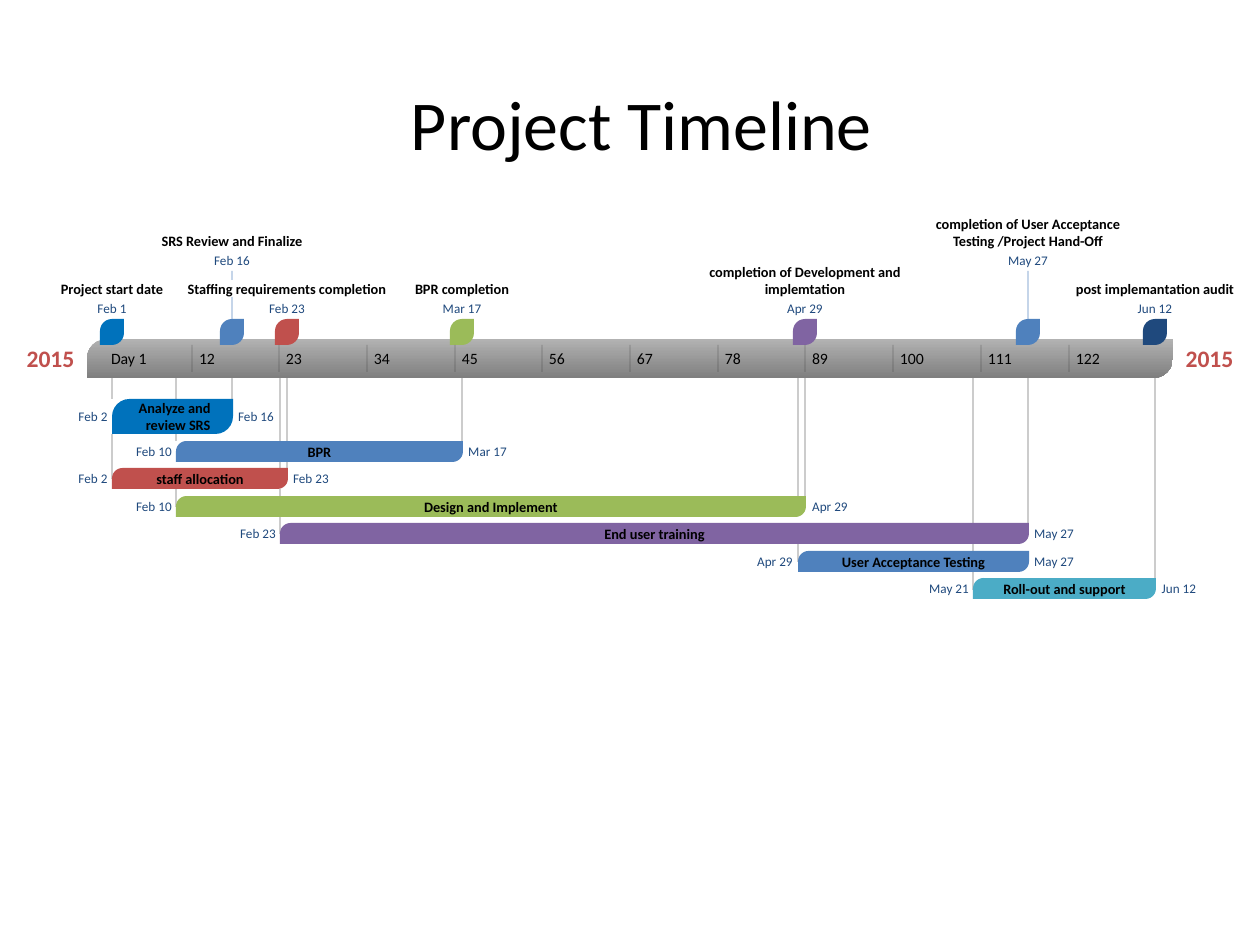
from lxml.etree import SubElement
from pptx import Presentation
from pptx.dml.color import RGBColor
from pptx.enum.shapes import MSO_CONNECTOR as Connector, MSO_SHAPE as Shape
from pptx.enum.text import MSO_ANCHOR as Anchor, PP_ALIGN as Align
from pptx.oxml.ns import qn
from pptx.util import Pt

PX = 914400 / 126
color = RGBColor.from_string
NAVY, BLACK, RED, BLUE = "1F497D", "000000", "C0504D", "4F81BD"
SKY, GREEN, PURPLE, TEAL = "0072BC", "9BBB59", "8064A2", "4BACC6"

deck = Presentation()
deck.slide_width, deck.slide_height = int(1260 * PX), int(945 * PX)
page = deck.slides.add_slide(deck.slide_layouts[6])


def add_text(text, left, top, width, height, size, ink=BLACK, bold=False,
             align=Align.CENTER, wrap=False):
    box = page.shapes.add_textbox(*(int(v * PX) for v in (left, top, width, height)))
    frame = box.text_frame
    frame.margin_left = frame.margin_right = frame.margin_top = frame.margin_bottom = 0
    frame.vertical_anchor = Anchor.MIDDLE
    frame.word_wrap = wrap
    para = frame.paragraphs[0]
    para.text = text
    para.alignment = align
    para.font.name = "Calibri"
    para.font.size = Pt(size)
    para.font.bold = bold
    para.font.color.rgb = color(ink)


def add_vertical(x, top, bottom, ink, width=0.75, opacity=100):
    line = page.shapes.add_connector(
        Connector.STRAIGHT, *(int(v * PX) for v in (x, top, x, bottom)))
    line.line.color.rgb = color(ink)
    line.line.width = Pt(width)
    properties = line._element.spPr
    if opacity < 100:
        fill = next(properties.iter(qn("a:srgbClr")))
        SubElement(fill, qn("a:alpha"), val=str(opacity * 1000))
    SubElement(properties, qn("a:effectLst"))


# Guide lines from the band down to the bars
guides = {
    1155: [(378, 578)],
    973: [(378, 523), (544, 551), (571, 590)],
    1028: [(378, 523)],
    798: [(378, 496), (544, 562)],
    280: [(378, 441), (462, 468), (489, 496), (517, 534)],
    805: [(378, 496)],
    176: [(378, 399), (434, 441), (488, 507)],
    287: [(378, 441), (462, 468)],
    112: [(378, 399), (434, 479)],
    462: [(378, 441)],
    232: [(378, 399)],
}
for x, pieces in guides.items():
    for top, bottom in pieces:
        add_vertical(x, top, bottom, "CCCCCC")

# Stems of the raised milestones
for x, top, bottom in [(1028, 271, 333), (232, 297, 333), (232, 271, 280)]:
    add_vertical(x, top, bottom, BLUE, opacity=50)

# Milestones: centre, label, label width, lines, date, raise, colour
milestones = [
    (112, "Project start date", 103, 1, "Feb 1", 0, SKY),
    (232, "SRS Review and Finalize", 144, 1, "Feb 16", 48, BLUE),
    (287, "Staffing requirements completion", 204, 1, "Feb 23", 0, RED),
    (462, "BPR completion", 96, 1, "Mar 17", 0, GREEN),
    (805, "completion of Development and implemtation", 197, 2, "Apr 29", 0, PURPLE),
    (1028, "completion of User Acceptance Testing /Project Hand-Off", 242, 2,
     "May 27", 48, BLUE),
    (1155, "post implemantation audit", 160, 1, "Jun 12", 0, NAVY),
]

# Tasks: left, width, label, label width, start, end, colour
tasks = [
    (112, 121, "Analyze and review SRS", 76, "Feb 2", "Feb 16", SKY),
    (176, 287, "BPR", 28, "Feb 10", "Mar 17", BLUE),
    (112, 176, "staff allocation", 89, "Feb 2", "Feb 23", RED),
    (176, 630, "Design and Implement", 139, "Feb 10", "Apr 29", GREEN),
    (280, 749, "End user training", 105, "Feb 23", "May 27", PURPLE),
    (798, 231, "User Acceptance Testing", 146, "Apr 29", "May 27", BLUE),
    (973, 183, "Roll-out and support", 125, "May 21", "Jun 12", TEAL),
]
rows = [(399, 35)] + [(441 + 55 * i // 2, 21) for i in range(6)]

# Band, milestone markers and task bars
blocks = [(87, 339, 1086, 39, None)]
blocks += [(x - 12, 319, 24, 26, ink) for x, *_, ink in milestones]
blocks += [(left, top, width, height, ink)
           for (left, width, *_, ink), (top, height) in zip(tasks, rows)]
for *place, ink in blocks:
    block = page.shapes.add_shape(Shape.ROUND_2_DIAG_RECTANGLE,
                                  *(int(v * PX) for v in place))
    block.adjustments[0] = 1
    block.shadow.inherit = False
    block.line.fill.background()
    if ink:
        block.fill.solid()
        block.fill.fore_color.rgb = color(ink)
    else:
        block.fill.gradient()
        block.fill.gradient_angle = 270
        for stop, shade, position in zip(block.fill.gradient_stops,
                                         ("B2B2B2", "7F7F7F"), (0, 1)):
            stop.color.rgb = color(shade)
            stop.position = position

# Years and day scale
for left in (26, 1185):
    add_text("2015", left, 344, 49, 29, 13.5, RED, bold=True)
add_text("Day 1", 111, 349, 42, 19, 9, align=Align.LEFT)
for i in range(11):
    x = 192 + 877 * i // 10
    day = str(12 + 11 * i)
    add_vertical(x, 345, 372, BLACK, 0.5, 30)
    add_text(day, x + 7, 349, 9 * len(day), 19, 9, align=Align.LEFT)

# Milestone labels and dates
date_widths = {"Feb 1": 32, "Feb 2": 32, "Feb 10": 38, "Feb 16": 38, "Feb 23": 38,
               "Mar 17": 41, "Apr 29": 40, "May 21": 42, "May 27": 42, "Jun 12": 38}
for x, label, width, lines, date, lift, _ in milestones:
    height = 18 * lines
    add_text(label, x - width / 2, 298 - lift - height, width, height, 8.2,
             bold=True, wrap=lines > 1)
    span = date_widths[date]
    add_text(date, x - span / 2, 300 - lift, span, 16, 7.5, NAVY)

# Task labels and dates
for (left, width, label, span, start, end, _), (top, height) in zip(tasks, rows):
    middle = top + height / 2
    tall = height > 21
    add_text(label, left + (width - span) / 2, middle - height / 2, span, height, 8.2,
             bold=True, align=Align.RIGHT if tall else Align.CENTER, wrap=tall)
    start_width = date_widths[start]
    add_text(start, left - 3 - start_width, middle - 8, start_width, 16, 7.5, NAVY)
    add_text(end, left + width + 4, middle - 8, date_widths[end], 16, 7.5, NAVY)

# Title
add_text("Project Timeline", 87, 74, 1109, 97, 40, wrap=True)

deck.save("out.pptx")
